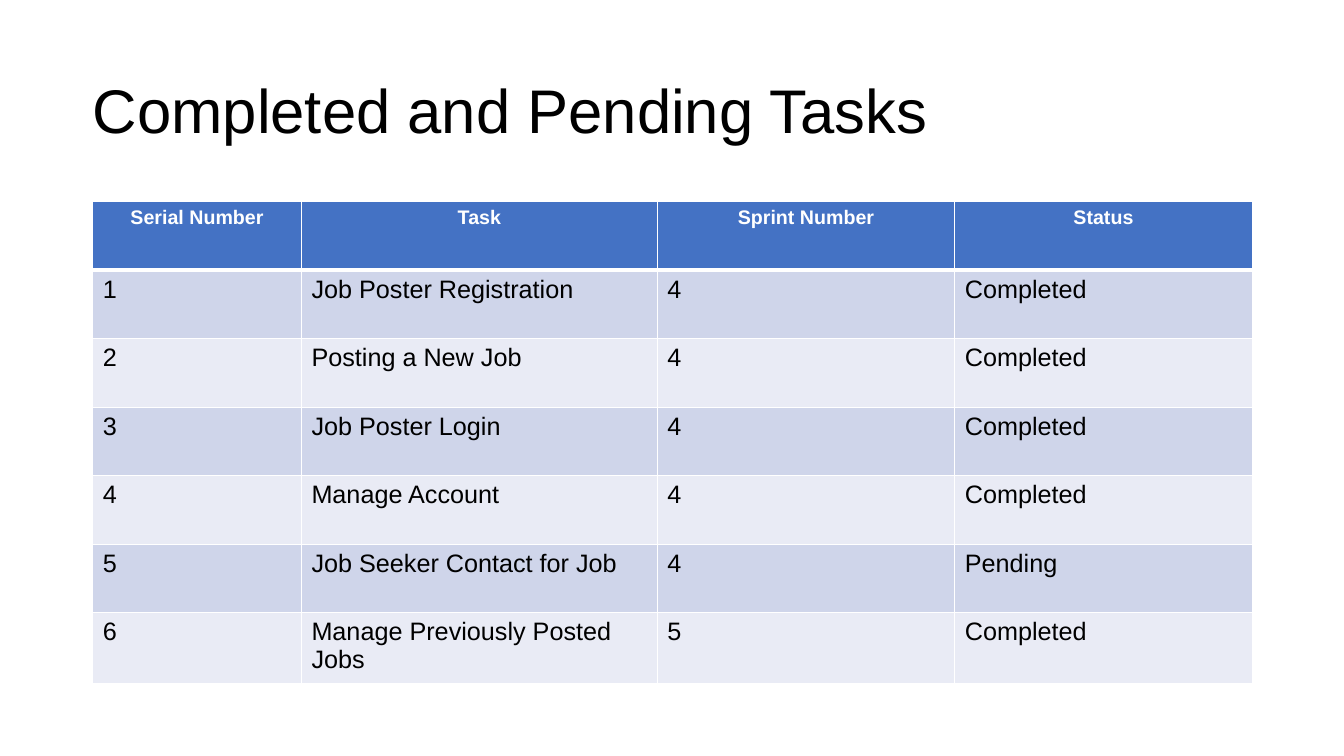
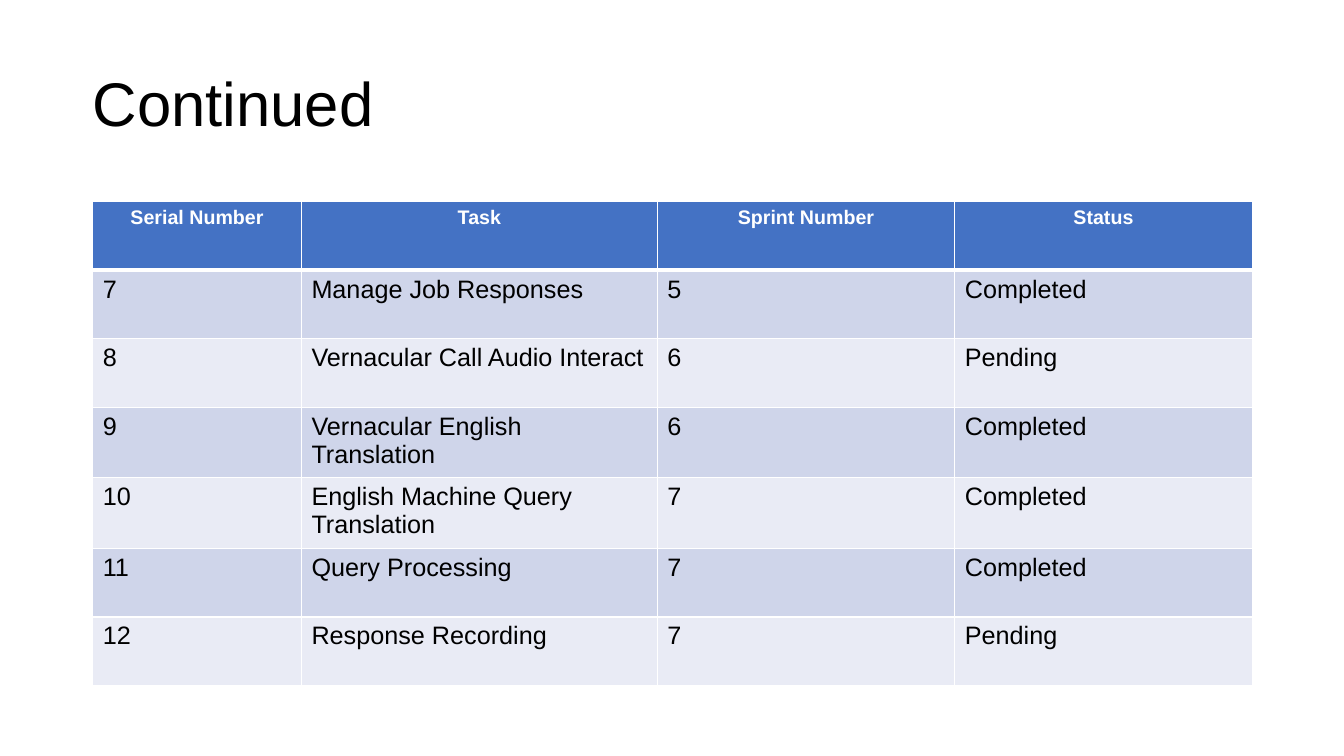
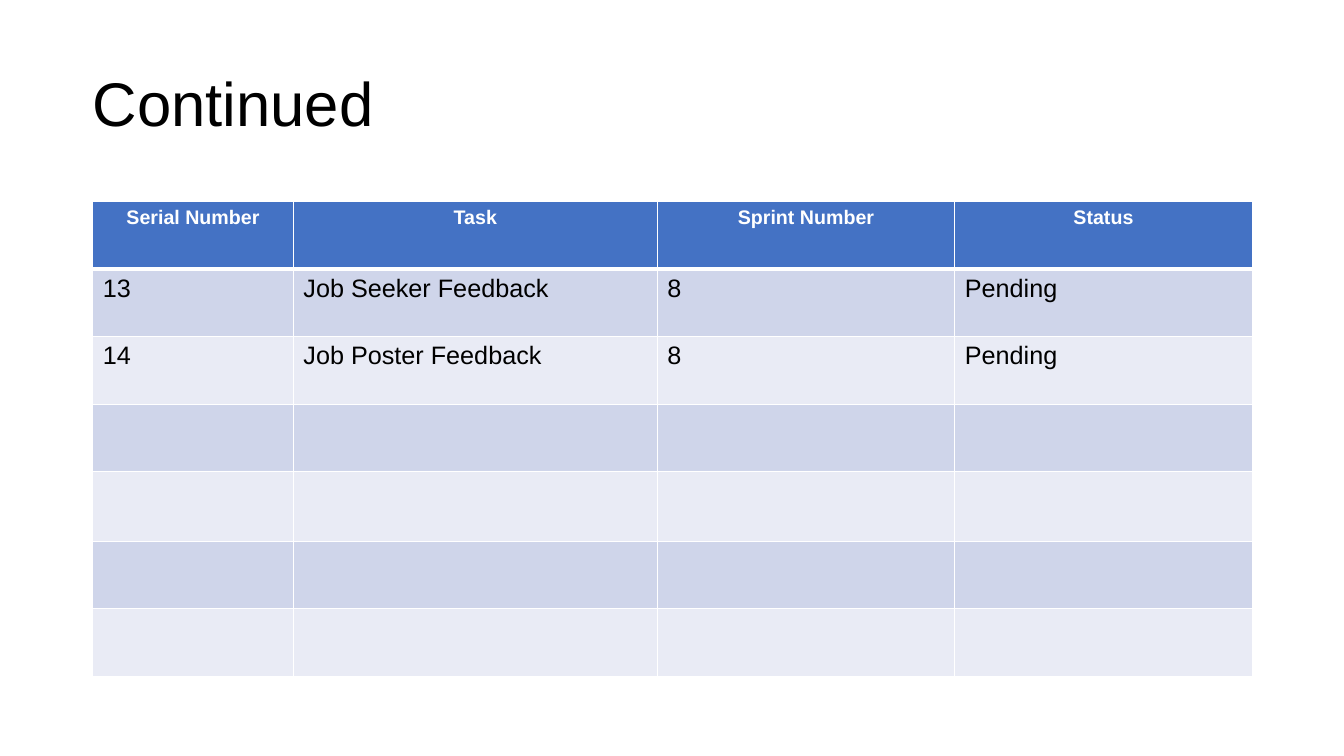
from dataclasses import dataclass

from lxml.etree import SubElement
from pptx import Presentation
from pptx.dml.color import RGBColor as Rgb
from pptx.enum.text import MSO_ANCHOR as Anchor, PP_ALIGN as Align
from pptx.oxml.ns import qn
from pptx.util import Inches, Pt

COLORS = {
    "text": "000000",
    "header": "4472C4",
    "header_text": "FFFFFF",
    "odd_row": "CFD5EA",
    "even_row": "E9EBF5",
    "border": "FFFFFF",
}
FONT = "Arial"
LEFT, CONTENT_WIDTH = 0.92, 11.5
TITLE_HEIGHT, TABLE_TOP = 1.45, 2.0
HEADINGS = ("Serial Number", "Task", "Sprint Number", "Status")
THIN, THICK = 1, 3
DONE, PENDING = "Completed", "Pending"


@dataclass(frozen=True)
class Task:
    name: str
    sprint: int
    status: str


@dataclass(frozen=True)
class TaskPage:
    title: str
    tasks: tuple[Task, ...]
    first_number: int
    title_top: float = 0.33
    columns: tuple[float, ...] = (2.07, 3.53, 2.95, 2.95)
    rows: tuple[float, ...] = (0.68,) * 7


PAGES = (
    TaskPage("Completed and Pending Tasks", (
        Task("Job Poster Registration", 4, DONE),
        Task("Posting a New Job", 4, DONE),
        Task("Job Poster Login", 4, DONE),
        Task("Manage Account", 4, DONE),
        Task("Job Seeker Contact for Job", 4, PENDING),
        Task("Manage Previously Posted Jobs", 5, DONE),
    ), first_number=1, title_top=0.4),
    TaskPage("Continued", (
        Task("Manage Job Responses", 5, DONE),
        Task("Vernacular Call Audio Interact", 6, PENDING),
        Task("Vernacular English Translation", 6, DONE),
        Task("English Machine Query Translation", 7, DONE),
        Task("Query Processing", 7, DONE),
        Task("Response Recording", 7, PENDING),
    ), first_number=7),
    TaskPage("Continued", (
        Task("Job Seeker Feedback", 8, PENDING),
        Task("Job Poster Feedback", 8, PENDING),
    ), first_number=13, columns=(1.99, 3.61, 2.95, 2.95),
        rows=(0.67,) * 4 + (0.69,) + (0.67,) * 2),
)


def style_paragraph(para, size: int, color: str, bold: bool = False) -> None:
    font = para.font
    font.name, font.size, font.bold = FONT, Pt(size), bold
    font.color.rgb = Rgb.from_string(COLORS[color])


def add_title(slide, page: TaskPage) -> None:
    box = slide.shapes.add_textbox(
        Inches(LEFT), Inches(page.title_top), Inches(CONTENT_WIDTH), Inches(TITLE_HEIGHT))
    frame = box.text_frame
    frame.word_wrap = True
    frame.vertical_anchor = Anchor.MIDDLE
    frame.margin_left = frame.margin_right = frame.margin_top = frame.margin_bottom = 0
    para = frame.paragraphs[0]
    para.text = page.title
    para.line_spacing = 0.9
    style_paragraph(para, 44, "text")


def set_borders(cell, top: int, bottom: int) -> None:
    properties = cell._tc.get_or_add_tcPr()
    for side, width in (("L", THIN), ("R", THIN), ("T", top), ("B", bottom)):
        line = SubElement(properties, qn(f"a:ln{side}"), w=str(Pt(width)))
        fill = SubElement(line, qn("a:solidFill"))
        SubElement(fill, qn("a:srgbClr"), val=COLORS["border"])


def style_cell(cell, row: int) -> None:
    # The thick rule lies between the header and the first task
    set_borders(cell, THICK if row == 1 else THIN, THICK if row == 0 else THIN)
    fill = "header" if row == 0 else "odd_row" if row % 2 else "even_row"
    cell.fill.solid()
    cell.fill.fore_color.rgb = Rgb.from_string(COLORS[fill])
    para = cell.text_frame.paragraphs[0]
    if row == 0:
        para.alignment = Align.CENTER
        style_paragraph(para, 14, "header_text", bold=True)
    else:
        style_paragraph(para, 18, "text")


def add_task_table(slide, page: TaskPage) -> None:
    table = slide.shapes.add_table(
        len(page.rows), len(page.columns), Inches(LEFT), Inches(TABLE_TOP),
        Inches(CONTENT_WIDTH), Inches(sum(page.rows))).table
    for column, width in zip(table.columns, page.columns):
        column.width = Inches(width)
    for row, height in zip(table.rows, page.rows):
        row.height = Inches(height)

    # Header and tasks; rows left over stay empty
    records = [HEADINGS] + [
        (str(number), task.name, str(task.sprint), task.status)
        for number, task in enumerate(page.tasks, page.first_number)]
    for row, record in enumerate(records):
        for column, text in enumerate(record):
            table.cell(row, column).text = text
    for row in range(len(page.rows)):
        for column in range(len(page.columns)):
            style_cell(table.cell(row, column), row)


def main() -> None:
    deck = Presentation()
    deck.slide_width, deck.slide_height = Inches(13.33), Inches(7.5)
    blank = deck.slide_layouts[6]
    for page in PAGES:
        slide = deck.slides.add_slide(blank)
        add_title(slide, page)
        add_task_table(slide, page)
    deck.save("out.pptx")


if __name__ == "__main__":
    main()
